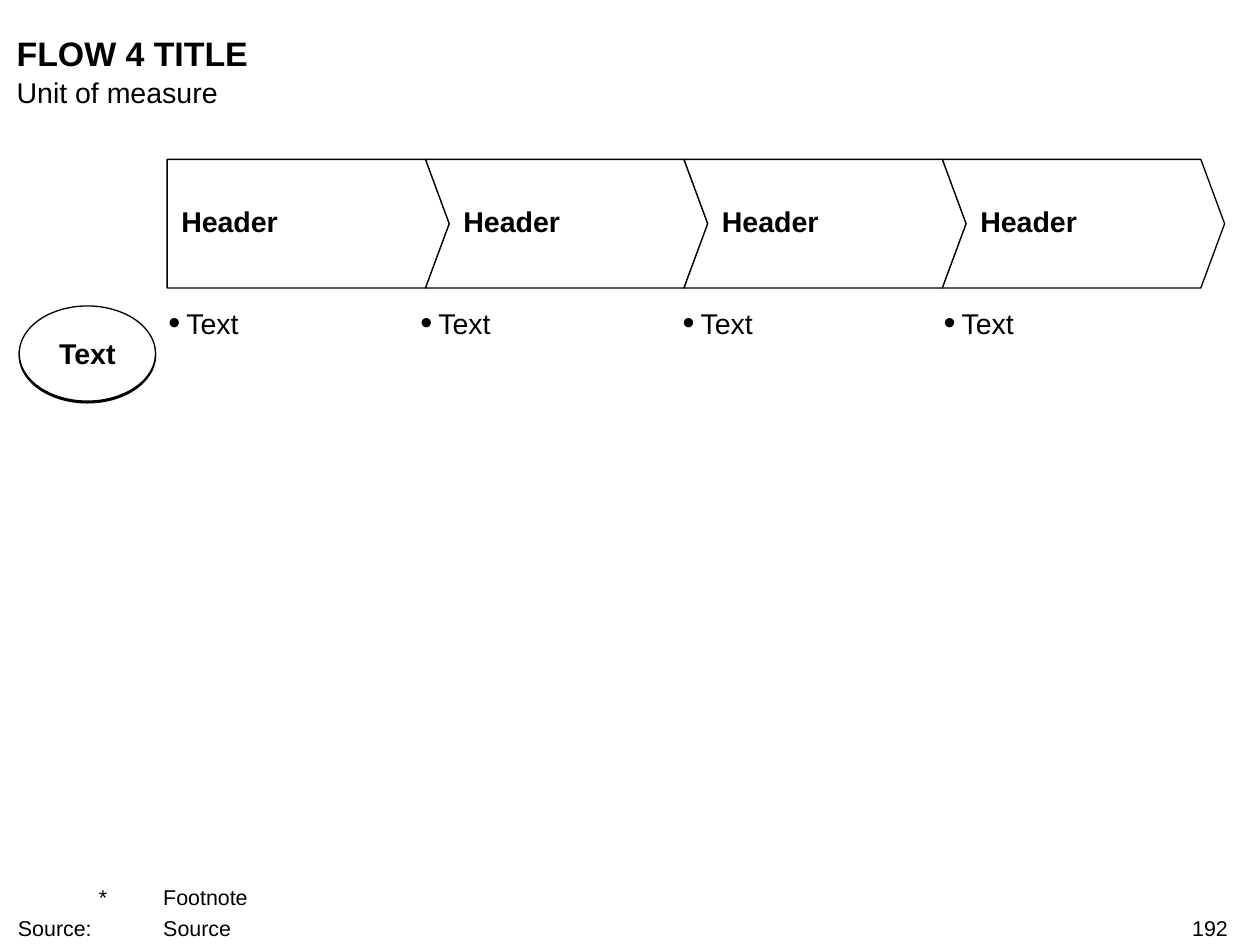
from dataclasses import dataclass
from typing import Optional

import lxml.etree
import pptx
import pptx.dml.color
import pptx.enum.shapes
import pptx.enum.text
import pptx.oxml.ns
import pptx.util

Align = pptx.enum.text.PP_ALIGN
Anchor = pptx.enum.text.MSO_ANCHOR


@dataclass(frozen=True)
class Theme:
    font: str = "Arial"
    ink: str = "000000"
    paper: str = "FFFFFF"
    title: float = 19
    body: float = 16
    note: float = 12
    outline: float = 0.75


@dataclass(frozen=True)
class Area:
    column: float
    row: float
    columns: float
    rows: float


@dataclass(frozen=True)
class Label:
    lines: tuple[str, ...]
    area: Area
    size: float
    bold: bool = False
    align: Align = Align.LEFT
    anchor: Anchor = Anchor.TOP
    bullet: bool = False
    tabs: tuple[tuple[float, str], ...] = ()


@dataclass(frozen=True)
class Step:
    header: str
    text: str
    text_column: float


THEME = Theme()
SLIDE_WIDTH = pptx.util.Inches(9.8)
SLIDE_HEIGHT = pptx.util.Inches(7.35)
COLUMN = SLIDE_WIDTH / 98
ROW = SLIDE_HEIGHT / 73.5

STEPS = (
    Step("Header", "Text", 13),
    Step("Header", "Text", 32.6),
    Step("Header", "Text", 53),
    Step("Header", "Text", 73.3),
)
FLOW = Area(13, 12.4, 20.1, 10)
TIP = 1.85
TEXT_ROW = 23.8
NOTE_TABS = ((0, "l"), (5.8, "r")) + tuple((9.8 * stop, "l") for stop in range(1, 7))

LABELS = (
    Label(("FLOW 4 TITLE",), Area(1.3, 2.5, 94.3, 3.2), THEME.title, bold=True),
    Label(("Unit of measure",), Area(1.3, 5.8, 94.3, 2.7), THEME.body),
    Label(("\t*\tFootnote", "Source:\t\tSource"), Area(1.4, 68.8, 89.3, 4.4), THEME.note,
          anchor=Anchor.BOTTOM, tabs=NOTE_TABS),
    Label(("192",), Area(75.1, 71.2, 20.4, 2), THEME.note, align=Align.RIGHT),
)


def across(columns: float) -> int:
    return round(columns * COLUMN)


def down(rows: float) -> int:
    return round(rows * ROW)


def place(area: Area) -> tuple[int, int, int, int]:
    return across(area.column), down(area.row), across(area.columns), down(area.rows)


def color(value: str) -> pptx.dml.color.RGBColor:
    return pptx.dml.color.RGBColor.from_string(value)


def add_element(parent, tag: str, **attributes: str):
    element = lxml.etree.SubElement(parent, pptx.oxml.ns.qn(tag))
    for name, value in attributes.items():
        element.set(name, value)
    return element


def set_indent(paragraph, left: float, hanging: float) -> None:
    properties = paragraph._p.get_or_add_pPr()
    properties.set("marL", str(across(left)))
    properties.set("indent", str(-across(hanging)))


def add_bullet(paragraph) -> None:
    set_indent(paragraph, 1.5, 1.4)
    properties = paragraph._p.get_or_add_pPr()
    bullet_color = add_element(properties, "a:buClr")
    add_element(bullet_color, "a:srgbClr", val=THEME.ink)
    add_element(properties, "a:buSzPct", val="120000")
    add_element(properties, "a:buFont", typeface=THEME.font)
    add_element(properties, "a:buChar", char="•")


def add_tabs(paragraph, tabs: tuple[tuple[float, str], ...]) -> None:
    set_indent(paragraph, 6.3, 6.3)
    stops = add_element(paragraph._p.get_or_add_pPr(), "a:tabLst")
    for position, align in tabs:
        add_element(stops, "a:tab", pos=str(across(position)), algn=align)


def style_font(paragraph, size: float, bold: bool) -> None:
    paragraph.font.name = THEME.font
    paragraph.font.size = pptx.util.Pt(size)
    paragraph.font.bold = bold
    paragraph.font.color.rgb = color(THEME.ink)


def set_frame(shape, anchor: Anchor, left: float = 0, bottom: float = 0):
    frame = shape.text_frame
    frame.word_wrap = True
    frame.vertical_anchor = anchor
    frame.margin_left = across(left)
    frame.margin_bottom = down(bottom)
    frame.margin_top = frame.margin_right = 0
    return frame


def add_label(slide, label: Label) -> None:
    frame = set_frame(slide.shapes.add_textbox(*place(label.area)), label.anchor)
    for index, line in enumerate(label.lines):
        paragraph = frame.add_paragraph() if index else frame.paragraphs[0]
        paragraph.text = line
        paragraph.alignment = label.align
        if label.bullet:
            add_bullet(paragraph)
        if label.tabs:
            add_tabs(paragraph, label.tabs)
        if index:
            paragraph.space_before = pptx.util.Pt(3)
        style_font(paragraph, label.size, label.bold)


def outline_shape(shape) -> None:
    shape.shadow.inherit = False
    shape.fill.solid()
    shape.fill.fore_color.rgb = color(THEME.paper)
    shape.line.color.rgb = color(THEME.ink)
    shape.line.width = pptx.util.Pt(THEME.outline)


def caption_shape(shape, text: str, align: Align, left: float = 0, bottom: float = 0) -> None:
    paragraph = set_frame(shape, Anchor.MIDDLE, left, bottom).paragraphs[0]
    paragraph.text = text
    paragraph.alignment = align
    style_font(paragraph, THEME.body, True)


def add_chevron(slide, index: int, header: str) -> None:
    left = FLOW.column + index * FLOW.columns
    right = left + FLOW.columns
    middle = FLOW.row + FLOW.rows / 2
    bottom = FLOW.row + FLOW.rows
    notch = TIP if index else 0
    corners = ((right, FLOW.row), (right + TIP, middle), (right, bottom),
               (left, bottom), (left + notch, middle))
    builder = slide.shapes.build_freeform(across(left), down(FLOW.row))
    builder.add_line_segments([(across(x), down(y)) for x, y in corners], close=True)
    chevron = builder.convert_to_shape()
    outline_shape(chevron)
    caption_shape(chevron, header, Align.LEFT, left=1.1 + notch, bottom=0.4)


def add_oval(slide, text: str, area: Area) -> None:
    oval = slide.shapes.add_shape(pptx.enum.shapes.MSO_SHAPE.OVAL, *place(area))
    outline_shape(oval)
    effects = oval._element.spPr.find(pptx.oxml.ns.qn("a:effectLst"))
    shadow = add_element(effects, "a:outerShdw", blurRad="0", dist=str(pptx.util.Pt(1)),
                         dir="5400000", algn="ctr", rotWithShape="0")
    add_element(shadow, "a:srgbClr", val=THEME.ink)
    caption_shape(oval, text, Align.CENTER)


def main() -> None:
    presentation = pptx.Presentation()
    presentation.slide_width = SLIDE_WIDTH
    presentation.slide_height = SLIDE_HEIGHT
    slide = presentation.slides.add_slide(presentation.slide_layouts[6])
    for label in LABELS:
        add_label(slide, label)
    for index, step in enumerate(STEPS):
        add_chevron(slide, index, step.header)
        area = Area(step.text_column, TEXT_ROW, 19.6, 2.7)
        add_label(slide, Label((step.text,), area, THEME.body, bullet=True))
    add_oval(slide, "Text", Area(1.5, TEXT_ROW, 10.6, 7.4))
    presentation.save("out.pptx")


if __name__ == "__main__":
    main()
